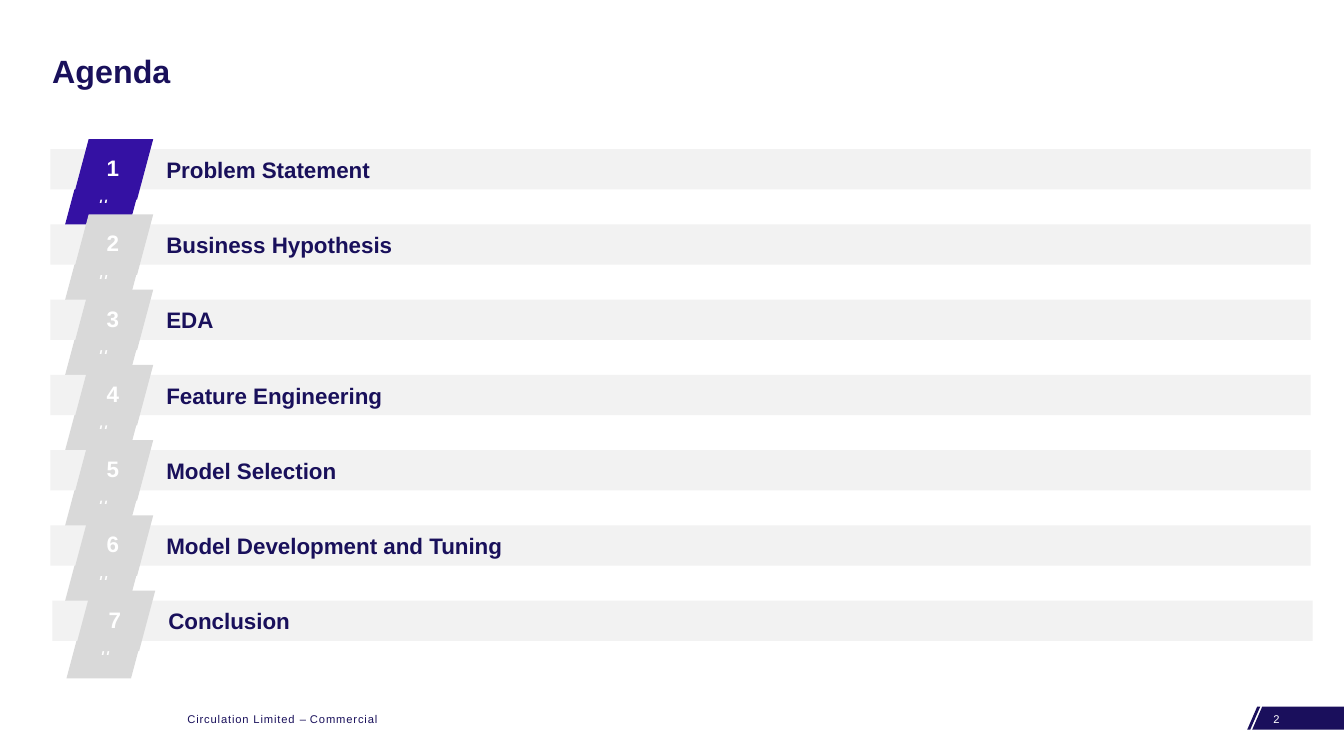
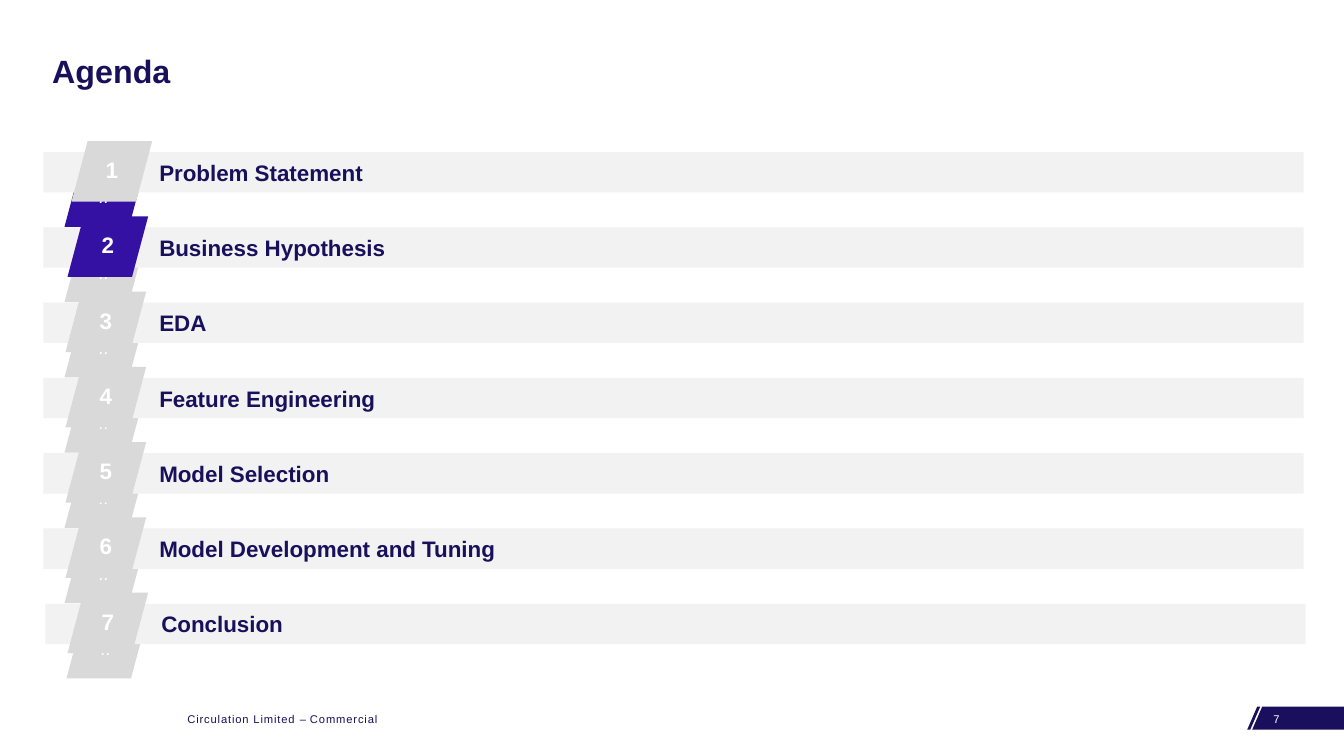
from pptx import Presentation
from pptx.dml.color import RGBColor
from pptx.enum.shapes import MSO_SHAPE
from pptx.enum.text import MSO_ANCHOR, PP_ALIGN
from pptx.util import Inches, Pt

RECT, SLANT = MSO_SHAPE.RECTANGLE, MSO_SHAPE.FLOWCHART_DATA
MIDDLE, TOP = MSO_ANCHOR.MIDDLE, MSO_ANCHOR.TOP
LEFT, CENTER = PP_ALIGN.LEFT, PP_ALIGN.CENTER

# Content
TITLE = "Agenda"
TOPICS = ["Problem Statement", "Business Hypothesis", "EDA",
          "Feature Engineering", "Model Selection",
          "Model Development and Tuning", "Conclusion"]
FOOTER = [("Circulation Limited ", 60), ("–", 0), (" Commercial", 60)]
SLIDES = [
    {"page": "2", "active": 0, "bar": (0.5, 1.48), "badge_y": 1.38,
     "badges": [0.72] * 6 + [0.74]},
    {"page": "7", "active": 1, "bar": (0.43, 1.51), "badge_y": 1.4,
     "badges": [0.71, 0.67] + [0.65] * 4 + [0.67]},
]

# Shared look
NAVY, CORNER, PURPLE = "19105B", "1A0F5C", "3411A3"
GREY, PALE, WHITE = "D9D9D9", "F2F2F2", "FFFFFF"
FONT = "Arial"
PITCH = 4.48 / 6
BAR_W, BAR_H = 12.5, 0.4
BADGE_W, BADGE_H = 0.8, 0.6
TAIL_X, TAIL_Y, TAIL_MARK = 0.64, 1.65, "#"
LAST_SHIFT = 0.02
HEADING = {"size": Pt(23), "bold": True}
ITEM = {"size": Pt(16), "bold": True}
SMALL = {"size": Pt(8)}
BAR_INSETS = (1.15, 0.1, 0.1, 0.1)
BADGE_INSETS = (0.05, 0.1, 0.05, 0.1)
TEXT_INSETS = (0.1, 0.05, 0.1, 0.05)
FOOTER_Y, FOOTER_H = 7.02, 0.24
CORNER_PARTS = [
    [(12.5, 7.01), (12.47, 7.01), (12.37, 7.24), (12.4, 7.24)],
    [(13.33, 7.01), (12.52, 7.01), (12.42, 7.24), (13.33, 7.24)],
]


def rgb(color):
    return RGBColor.from_string(color)


def paint(sp, color):
    sp.shadow.inherit = False
    sp.fill.solid()
    sp.fill.fore_color.rgb = rgb(color)
    sp.line.fill.background()


def write(sp, runs, style, color, insets=TEXT_INSETS, anchor=MIDDLE,
          align=LEFT, spacing=1.0):
    """Fill a shape with one paragraph of (text, letter spacing) runs."""
    tf = sp.text_frame
    tf.word_wrap = True
    tf.vertical_anchor = anchor
    for side, inset in zip(("left", "top", "right", "bottom"), insets):
        setattr(tf, f"margin_{side}", Inches(inset))
    p = tf.paragraphs[0]
    p.alignment, p.line_spacing = align, spacing
    for text, tracking in runs:
        r = p.add_run()
        r.text = text
        for name, value in {"name": FONT, **style}.items():
            setattr(r.font, name, value)
        r.font.color.rgb = rgb(color)
        if tracking:
            r.font._element.set("spc", str(tracking))


def add_text(s, box, runs, style, color, **layout):
    write(s.shapes.add_textbox(*map(Inches, box)), runs, style, color, **layout)


def add_bar(s, x, y, topic):
    sp = s.shapes.add_shape(RECT, *map(Inches, (x, y, BAR_W, BAR_H)))
    paint(sp, PALE)
    write(sp, [(topic, 0)], ITEM, NAVY, BAR_INSETS)


def add_badge(s, x, y, text, color):
    sp = s.shapes.add_shape(SLANT, *map(Inches, (x, y, BADGE_W, BADGE_H)))
    paint(sp, color)
    write(sp, [(text, 0)], ITEM, WHITE, BADGE_INSETS, align=CENTER, spacing=0.9)


def add_frame(s, page):
    """Title, footer and page corner."""
    add_text(s, (0.42, 0.2, 12.5, 1.05), [(TITLE, 0)], HEADING, NAVY, spacing=0.9)
    first, second = CORNER_PARTS
    outline = s.shapes.build_freeform(*map(Inches, first[0]), scale=1.0)
    outline.add_line_segments([tuple(map(Inches, pt)) for pt in first[1:]])
    outline.move_to(*map(Inches, second[0]))
    outline.add_line_segments([tuple(map(Inches, pt)) for pt in second[1:]])
    paint(outline.convert_to_shape(), CORNER)
    for x, width, runs, color in [(1.76, 2.19, FOOTER, NAVY),
                                  (12.53, 0.62, [(page, 0)], WHITE)]:
        add_text(s, (x, FOOTER_Y, width, FOOTER_H), runs, SMALL, color, anchor=TOP)


def add_agenda(s, active, bar, badge_y, badges):
    last = len(TOPICS) - 1
    shifts = [LAST_SHIFT if i == last else 0 for i in range(len(TOPICS))]
    # Slanted tails behind the rows
    for i, shift in enumerate(shifts):
        add_badge(s, TAIL_X + shift, TAIL_Y + i * PITCH, TAIL_MARK,
                  GREY if i else PURPLE)
    # Topic bars with numbered badges
    bar_x, bar_y = bar
    for i, (topic, shift, badge_x) in enumerate(zip(TOPICS, shifts, badges)):
        add_bar(s, bar_x + shift, bar_y + i * PITCH, topic)
        add_badge(s, badge_x, badge_y + i * PITCH, str(i + 1),
                  PURPLE if i == active else GREY)


def main():
    prs = Presentation()
    prs.slide_width, prs.slide_height = Inches(13.33), Inches(7.5)
    for slide in SLIDES:
        s = prs.slides.add_slide(prs.slide_layouts[6])
        add_frame(s, slide["page"])
        add_agenda(s, slide["active"], slide["bar"], slide["badge_y"],
                   slide["badges"])
    prs.save("out.pptx")


if __name__ == "__main__":
    main()
